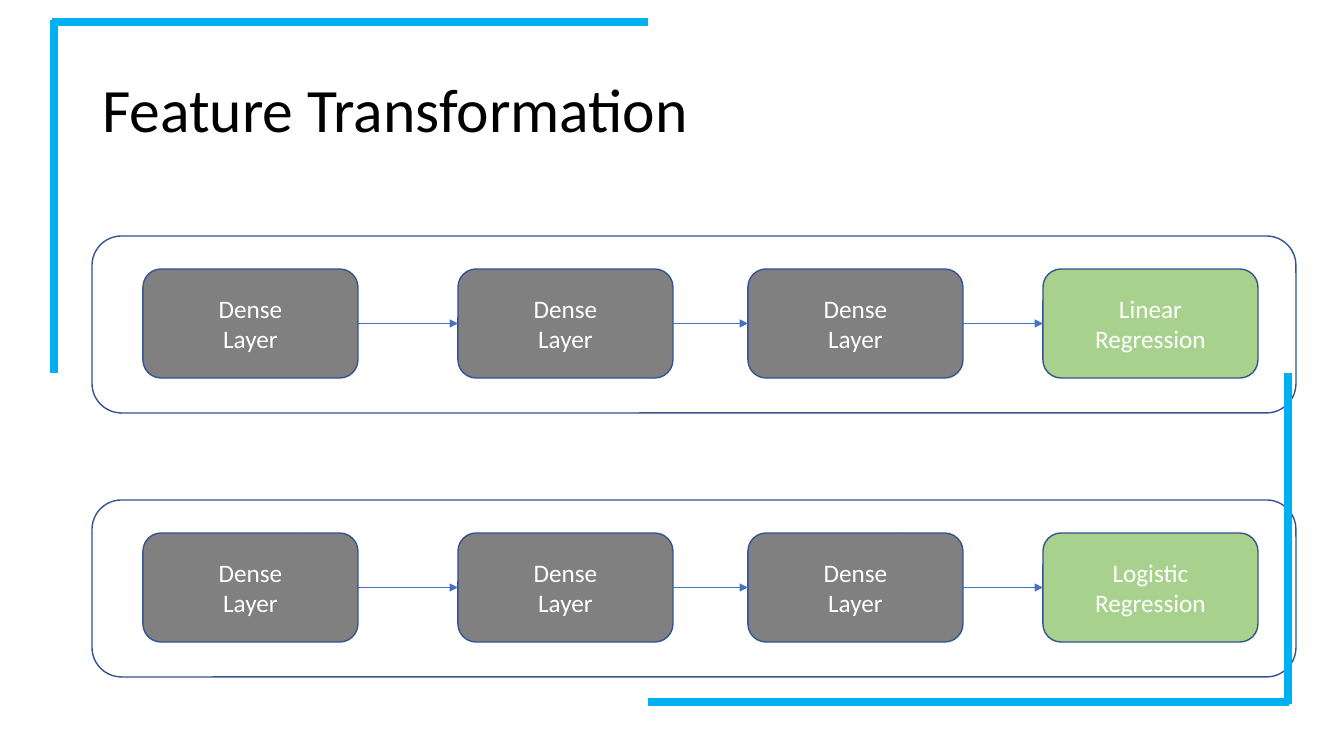
import pptx
import pptx.util
import pptx.dml.color
import pptx.enum.shapes
import pptx.enum.text
import pptx.oxml
import pptx.oxml.ns

RGBColor = pptx.dml.color.RGBColor
BLACK = RGBColor(0x00, 0x00, 0x00)
WHITE = RGBColor(0xFF, 0xFF, 0xFF)
GRAY = RGBColor(0x80, 0x80, 0x80)
GREEN = RGBColor(0xA9, 0xD1, 0x8E)
OUTLINE = RGBColor(0x32, 0x54, 0x91)
ARROW = RGBColor(0x44, 0x72, 0xC4)
CYAN = RGBColor(0x00, 0xB0, 0xF0)

FONT = "Calibri"
BOX_LEFTS = (143, 458, 748, 1043)
BOX_WIDTH, BOX_HEIGHT = 215, 109
FRAME_LEFT, FRAME_WIDTH, FRAME_HEIGHT = 92, 1204, 177
FRAME_PADDING = 33


def px(length):
    return pptx.util.Emu(round(length * 914400 / 100.8))


def format_text(text_frame, size, color):
    for paragraph in text_frame.paragraphs:
        for run in paragraph.runs:
            run.font.name = FONT
            run.font.size = pptx.util.Pt(size)
            run.font.color.rgb = color


def add_title(slide, text):
    title = slide.shapes.title
    title.left, title.top, title.width, title.height = px(92), px(40), px(1160), px(146)
    text_frame = title.text_frame
    text_frame.text = text
    text_frame.vertical_anchor = pptx.enum.text.MSO_ANCHOR.MIDDLE
    text_frame.paragraphs[0].alignment = pptx.enum.text.PP_ALIGN.LEFT
    text_frame.paragraphs[0].line_spacing = 0.9
    format_text(text_frame, 44, BLACK)


def add_rounded(slide, left, top, width, height, fill=None):
    shape = slide.shapes.add_shape(
        pptx.enum.shapes.MSO_SHAPE.ROUNDED_RECTANGLE,
        px(left), px(top), px(width), px(height))
    shape.shadow.inherit = False
    shape.line.color.rgb = OUTLINE
    shape.line.width = pptx.util.Pt(1)
    if fill is None:
        shape.fill.background()
    else:
        shape.fill.solid()
        shape.fill.fore_color.rgb = fill
    return shape


def add_box(slide, left, top, text, fill):
    shape = add_rounded(slide, left, top, BOX_WIDTH, BOX_HEIGHT, fill)
    text_frame = shape.text_frame
    text_frame.text = text
    text_frame.vertical_anchor = pptx.enum.text.MSO_ANCHOR.MIDDLE
    for paragraph in text_frame.paragraphs:
        paragraph.alignment = pptx.enum.text.PP_ALIGN.CENTER
    format_text(text_frame, 18, WHITE)


def add_line(shapes, start, end, color, width, arrow=False):
    connector = shapes.add_connector(
        pptx.enum.shapes.MSO_CONNECTOR.STRAIGHT,
        px(start[0]), px(start[1]), px(end[0]), px(end[1]))
    connector.line.color.rgb = color
    connector.line.width = pptx.util.Pt(width)
    if arrow:
        line = connector.line._get_or_add_ln()
        line.append(pptx.oxml.parse_xml(
            f'<a:tailEnd {pptx.oxml.ns.nsdecls("a")} type="triangle"/>'))
    connector._element.spPr.append(pptx.oxml.parse_xml(
        f'<a:effectLst {pptx.oxml.ns.nsdecls("a")}/>'))


def add_network(slide, frame_top, output_text):
    top = frame_top + FRAME_PADDING
    middle = top + BOX_HEIGHT / 2

    # Hidden layers, then the output layer
    for left in BOX_LEFTS[:-1]:
        add_box(slide, left, top, "Dense\nLayer", GRAY)
    add_box(slide, BOX_LEFTS[-1], top, output_text, GREEN)

    # Arrows between neighbouring boxes
    for left, next_left in zip(BOX_LEFTS, BOX_LEFTS[1:]):
        add_line(slide.shapes, (left + BOX_WIDTH, middle), (next_left, middle),
                 ARROW, 0.5, arrow=True)

    # Frame around the network
    add_rounded(slide, FRAME_LEFT, frame_top, FRAME_WIDTH, FRAME_HEIGHT)


def add_corners(slide):
    group = slide.shapes.add_group_shape()
    for start, end in (
        ((52, 22), (648, 22)),
        ((54, 20), (54, 373)),
        ((1289, 702), (648, 702)),
        ((1288, 704), (1288, 373)),
    ):
        add_line(group.shapes, start, end, CYAN, 5.75)


def main():
    presentation = pptx.Presentation()
    presentation.slide_width = px(1344)
    presentation.slide_height = px(756)
    slide = presentation.slides.add_slide(presentation.slide_layouts[5])

    add_title(slide, "Feature Transformation")
    add_network(slide, 236, "Linear\nRegression")
    add_network(slide, 500, "Logistic\nRegression")
    add_corners(slide)

    presentation.save("out.pptx")


if __name__ == "__main__":
    main()
